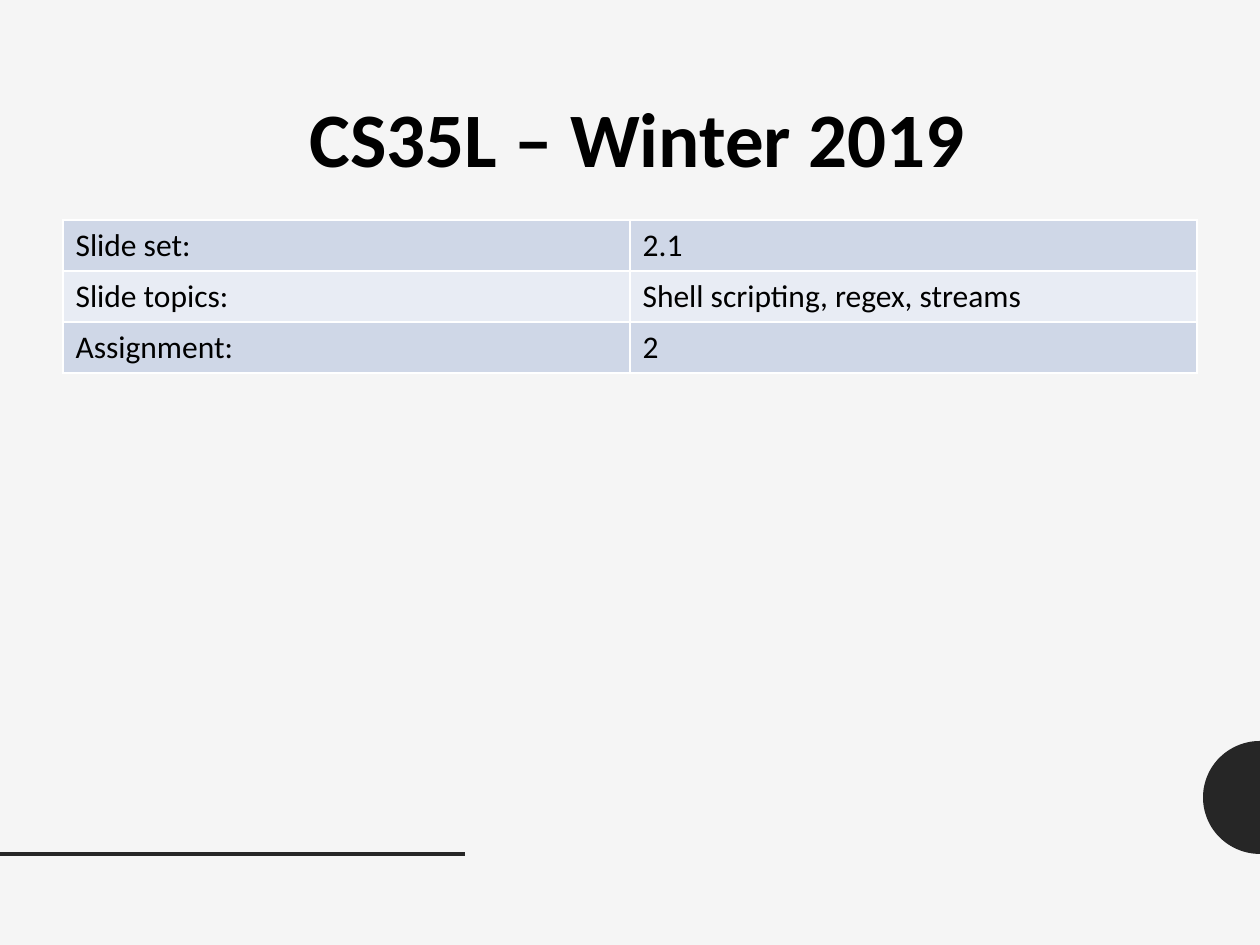
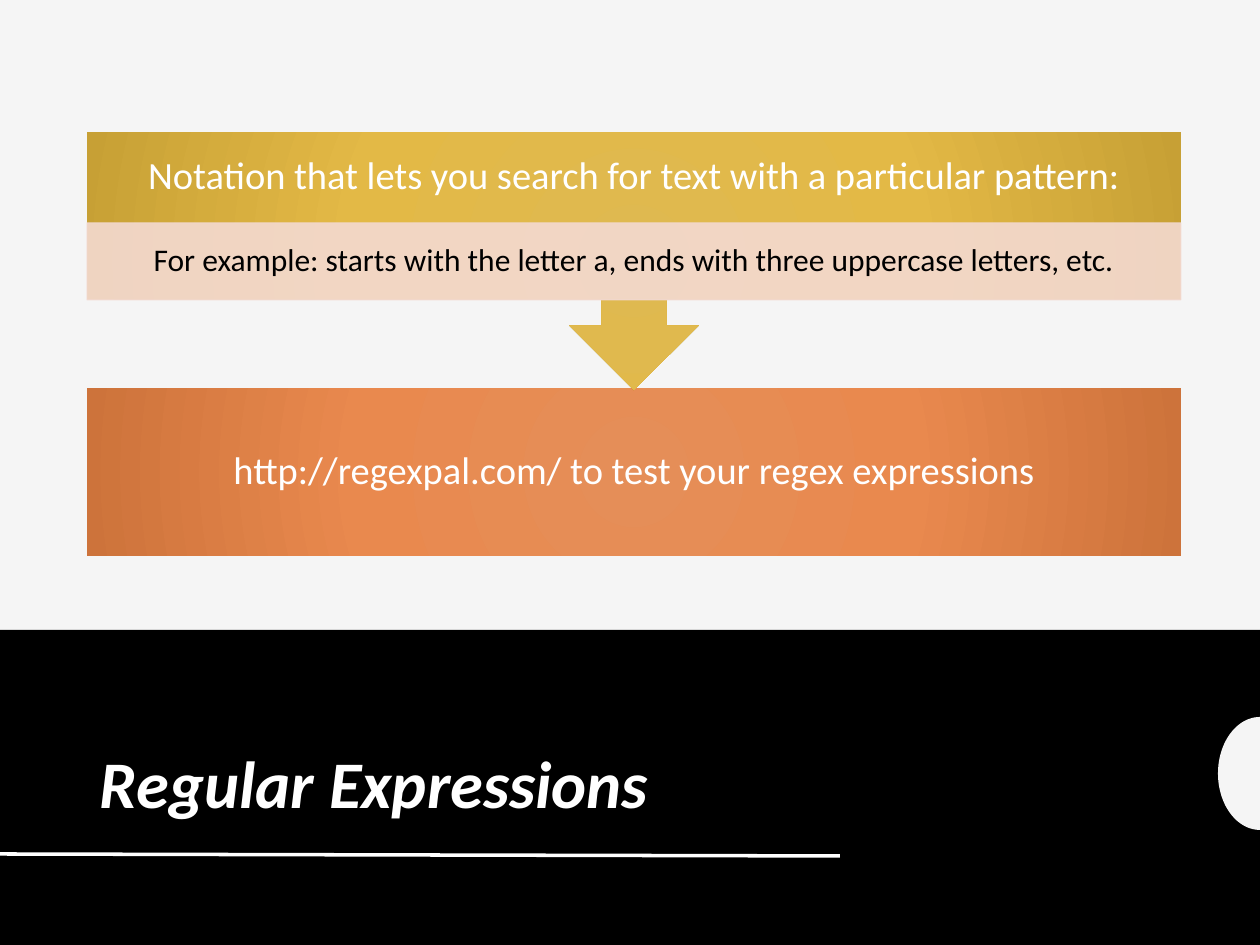
import math

import pptx
import pptx.util
from lxml import etree
from pptx.dml.color import RGBColor
from pptx.enum.shapes import MSO_CONNECTOR, MSO_SHAPE
from pptx.enum.text import MSO_ANCHOR, PP_ALIGN
from pptx.oxml import parse_xml
from pptx.oxml.ns import nsdecls, qn

PX = 914400 / 126
SLIDE_W, SLIDE_H = 1260, 945
FONT = "Calibri"

PAPER = RGBColor(0xF5, 0xF5, 0xF5)
INK = RGBColor(0x26, 0x26, 0x26)
BLACK = RGBColor(0, 0, 0)
WHITE = RGBColor(0xFF, 0xFF, 0xFF)
PEACH = RGBColor(0xF4, 0xDA, 0xD1)
ROW_FILLS = [RGBColor(0xCF, 0xD7, 0xE7), RGBColor(0xE8, 0xEC, 0xF4)]
GOLD_STOPS = [(0, RGBColor(0xDF, 0xB9, 0x50)), (50, RGBColor(0xE3, 0xB9, 0x46)),
              (100, RGBColor(0xC7, 0xA0, 0x35))]
ORANGE_STOPS = [(0, RGBColor(0xE5, 0x8E, 0x58)), (50, RGBColor(0xE9, 0x89, 0x4E)),
                (100, RGBColor(0xCD, 0x73, 0x3B))]

COURSE = "CS35L – Winter 2019"
COURSE_FACTS = [
    ("Slide set:", "2.1"),
    ("Slide topics:", "Shell scripting, regex, streams"),
    ("Assignment:", "2"),
]
REGEX_TITLE = "Regular Expressions"
REGEX_MEANING = "Notation that lets you search for text with a particular pattern:"
REGEX_EXAMPLE = "For example: starts with the letter a, ends with three uppercase letters, etc."
REGEX_TOOL = "http://regexpal.com/ to test your regex expressions"


def emu(*px):
    return [pptx.util.Emu(round(v * PX)) for v in px]


def put_text(tf, text, size=18, color=BLACK, bold=False, italic=False,
             align=PP_ALIGN.LEFT, anchor=MSO_ANCHOR.MIDDLE, spacing=0.9, inset=(13, 6)):
    tf.word_wrap = True
    tf.vertical_anchor = anchor
    tf.margin_left = tf.margin_right = emu(inset[0])[0]
    tf.margin_top = tf.margin_bottom = emu(inset[1])[0]
    p = tf.paragraphs[0]
    p.alignment = align
    p.line_spacing = spacing
    r = p.add_run()
    r.text = text
    f = r.font
    f.name, f.size, f.bold, f.italic = FONT, pptx.util.Pt(size), bold, italic
    f.color.rgb = color


def add_text(slide, box, text, **fmt):
    put_text(slide.shapes.add_textbox(*emu(*box)).text_frame, text, **fmt)


def paint(sp, color):
    sp.shadow.inherit = False
    sp.fill.solid()
    sp.fill.fore_color.rgb = color
    sp.line.fill.background()


def add_block(slide, kind, box, color):
    sp = slide.shapes.add_shape(kind, *emu(*box))
    paint(sp, color)
    return sp


def add_radial_block(slide, kind, box, stops):
    sp = add_block(slide, kind, box, stops[0][1])
    gs = "".join(f'<a:gs pos="{pos * 1000}"><a:srgbClr val="{c}"/></a:gs>' for pos, c in stops)
    grad = parse_xml(
        f'<a:gradFill {nsdecls("a")} rotWithShape="1"><a:gsLst>{gs}</a:gsLst>'
        '<a:path path="circle"><a:fillToRect l="100000" t="100000" r="100000" b="100000"/>'
        '</a:path></a:gradFill>')
    sppr = sp._element.spPr
    sppr.replace(sppr.find(qn("a:solidFill")), grad)
    return sp


def set_alpha(sp, percent):
    """Make the fill and line colours of a shape partly transparent."""
    for clr in sp._element.spPr.iter(qn("a:srgbClr")):
        etree.SubElement(clr, qn("a:alpha")).set("val", str(percent * 1000))


def add_edge_bulge(slide, top, rx, color, height=113, steps=52):
    """Half ellipse that grows out of the right edge of the slide."""
    ry = height / 2
    pts = []
    for i in range(steps + 1):
        a = math.pi * i / steps
        pts.append(emu(SLIDE_W - rx * math.sin(a), top + ry + ry * math.cos(a)))
    fb = slide.shapes.build_freeform(*pts[0], scale=1.0)
    fb.add_line_segments(pts[1:], close=True)
    paint(fb.convert_to_shape(), color)


def add_rule(slide, x_end, y_end, color):
    line = slide.shapes.add_connector(MSO_CONNECTOR.STRAIGHT, *emu(0, 854, x_end, y_end))
    line.line.color.rgb = color
    line.line.width = pptx.util.Pt(2)
    etree.SubElement(line._element.spPr, qn("a:effectLst"))


def add_facts_table(slide, rows, left, top, col_w, row_h):
    n_cols = len(rows[0])
    table = slide.shapes.add_table(
        len(rows), n_cols, *emu(left, top, col_w * n_cols, row_h * len(rows))).table
    table.first_row = table.horz_banding = False
    for col in table.columns:
        col.width = emu(col_w)[0]
    for i, row in enumerate(rows):
        table.rows[i].height = emu(row_h)[0]
        for j, text in enumerate(row):
            cell = table.cell(i, j)
            cell.fill.solid()
            cell.fill.fore_color.rgb = ROW_FILLS[i % 2]
            put_text(cell.text_frame, text, spacing=1.0, anchor=MSO_ANCHOR.TOP)
            for k, side in enumerate("LRTB"):
                cell._tc.tcPr.insert(k, parse_xml(
                    f'<a:ln{side} {nsdecls("a")} w="12700"><a:solidFill>'
                    f'<a:srgbClr val="{WHITE}"/></a:solidFill></a:ln{side}>'))


def new_slide(prs):
    slide = prs.slides.add_slide(prs.slide_layouts[6])
    slide.background.fill.solid()
    slide.background.fill.fore_color.rgb = PAPER
    return slide


def build_course_slide(prs):
    s = new_slide(prs)
    add_edge_bulge(s, 741, 57, INK)
    add_rule(s, 465, 854, INK)
    add_text(s, (78, 77, 1119, 132), COURSE, size=44, bold=True, align=PP_ALIGN.CENTER)
    add_facts_table(s, COURSE_FACTS, left=63, top=220, col_w=567, row_h=51)


def build_regex_slide(prs):
    s = new_slide(prs)
    add_block(s, MSO_SHAPE.RECTANGLE, (0, 630, SLIDE_W, SLIDE_H - 630), BLACK)
    add_text(s, (87, 654, 753, 175), REGEX_TITLE, size=38, color=WHITE,
             bold=True, italic=True, anchor=MSO_ANCHOR.BOTTOM)
    add_edge_bulge(s, 717, 42, PAPER)
    add_rule(s, 840, 856, WHITE)

    left, width, top, head_h, band_h = 87, 1094, 132, 91, 77
    head = dict(size=22, color=WHITE, align=PP_ALIGN.CENTER, inset=(21, 21))
    tool = add_radial_block(s, MSO_SHAPE.RECTANGLE, (left, 388, width, 168), ORANGE_STOPS)
    put_text(tool.text_frame, REGEX_TOOL, **head)
    callout = add_radial_block(s, MSO_SHAPE.UP_ARROW_CALLOUT, (left, top, width, 258), GOLD_STOPS)
    callout.rotation = 180
    add_text(s, (left, top, width, head_h), REGEX_MEANING, **head)
    band = add_block(s, MSO_SHAPE.RECTANGLE, (left, top + head_h, width, band_h), PEACH)
    band.line.color.rgb = PEACH
    band.line.width = pptx.util.Pt(0.5)
    set_alpha(band, 90)
    put_text(band.text_frame, REGEX_EXAMPLE, align=PP_ALIGN.CENTER, inset=(18, 4))


def main():
    prs = pptx.Presentation()
    prs.slide_width, prs.slide_height = emu(SLIDE_W, SLIDE_H)
    build_course_slide(prs)
    build_regex_slide(prs)
    prs.save("out.pptx")


if __name__ == "__main__":
    main()
